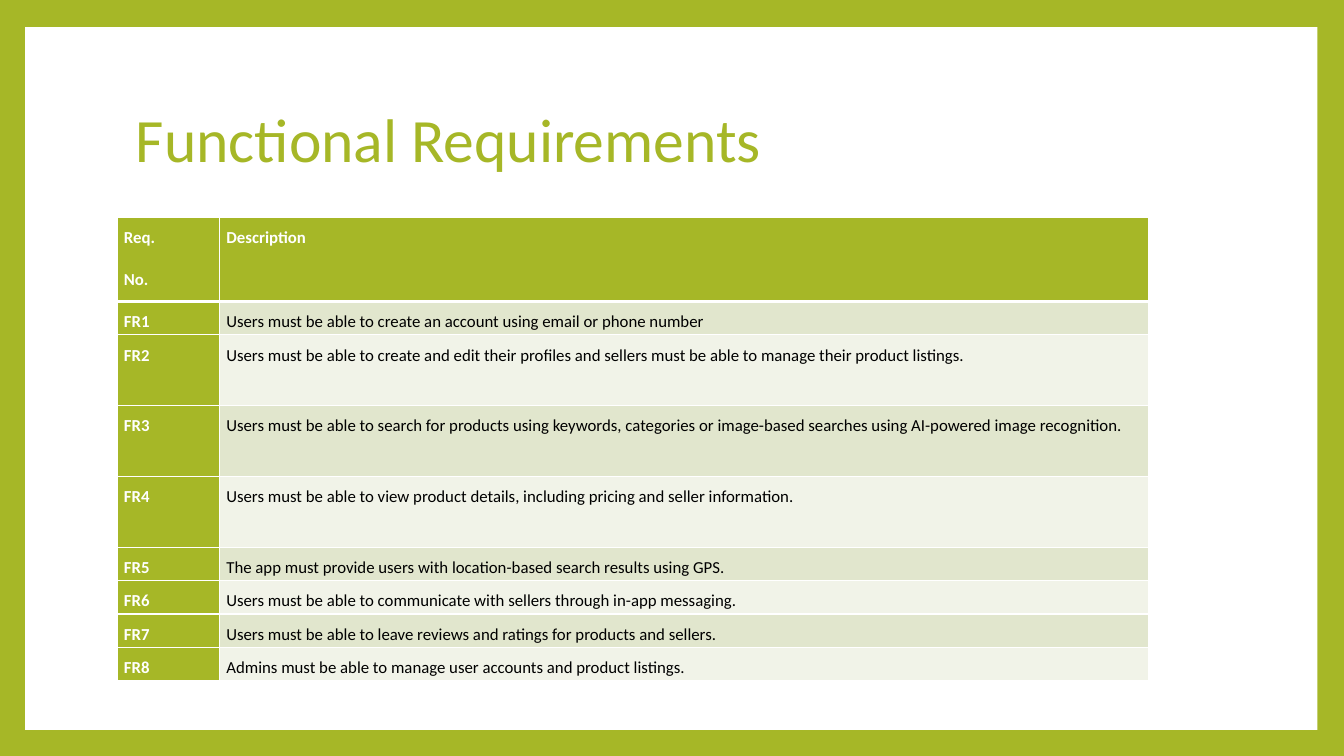
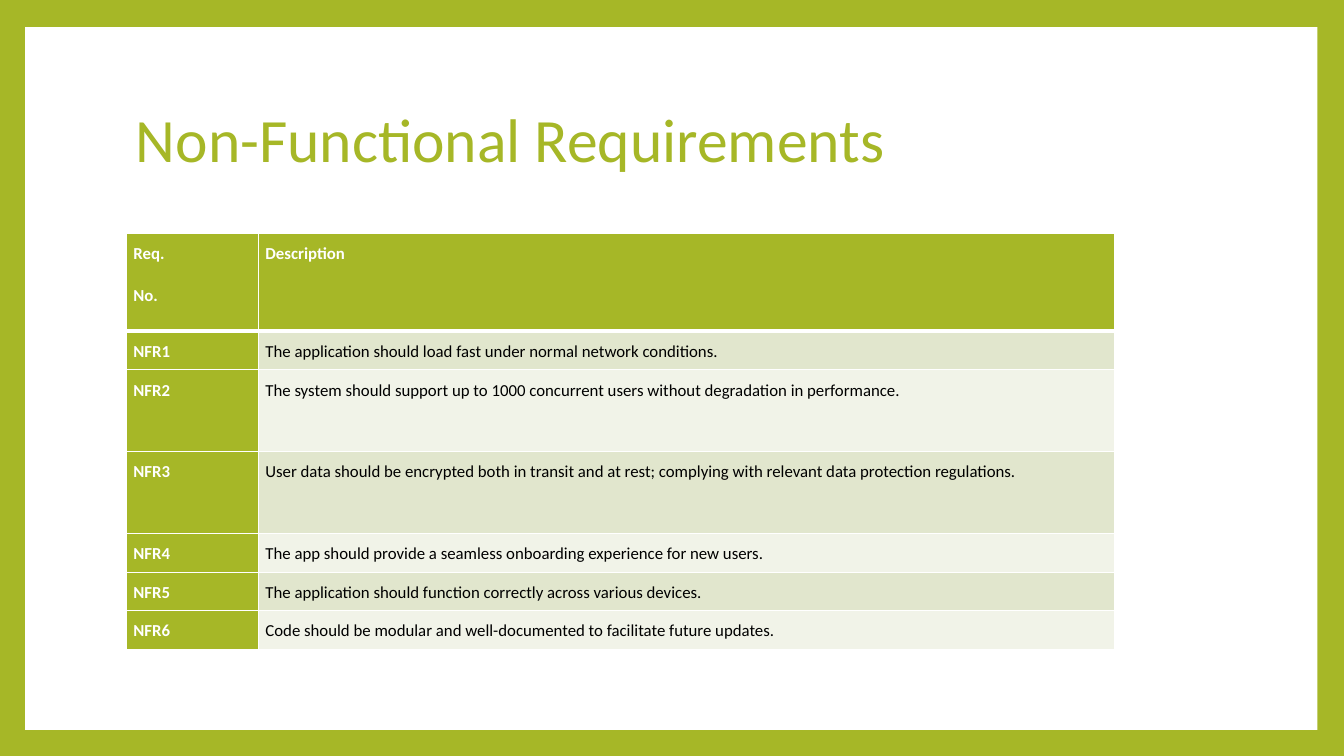
from dataclasses import dataclass

from lxml import etree
from pptx import Presentation
from pptx import util as u
from pptx.dml.color import RGBColor
from pptx.enum import shapes, text
from pptx.oxml.ns import qn


@dataclass(frozen=True)
class Theme:
    green: str = "A6B727"
    white: str = "FFFFFF"
    black: str = "000000"
    bands: tuple = ("E1E6CD", "F1F3E8")
    font: str = "Calibri"
    title_size: int = 44
    cell_size: int = 12
    rule: int = 1
    header_rule: int = 3


T = Theme()
HEADER = ("Req.\nNo.", "Description")

FUNCTIONAL = [
    "Users must be able to create an account using email or phone number",
    "Users must be able to create and edit their profiles and sellers must be able to "
    "manage their product listings.",
    "Users must be able to search for products using keywords, categories or image-based "
    "searches using AI-powered image recognition.",
    "Users must be able to view product details, including pricing and seller information.",
    "The app must provide users with location-based search results using GPS.",
    "Users must be able to communicate with sellers through in-app messaging.",
    "Users must be able to leave reviews and ratings for products and sellers.",
    "Admins must be able to manage user accounts and product listings.",
]

NON_FUNCTIONAL = [
    "The application should load fast under normal network conditions.",
    "The system should support up to 1000 concurrent users without degradation in performance.",
    "User data should be encrypted both in transit and at rest; complying with relevant "
    "data protection regulations.",
    "The app should provide a seamless onboarding experience for new users.",
    "The application should function correctly across various devices.",
    "Code should be modular and well-documented to facilitate future updates.",
]


def set_fill(fill, color):
    fill.solid()
    fill.fore_color.rgb = RGBColor.from_string(color)


def set_font(p, size, color, bold=False):
    p.font.name, p.font.size, p.font.bold = T.font, u.Pt(size), bold
    p.font.color.rgb = RGBColor.from_string(color)


# Slide frame: green background, white panel, title
def add_slide(prs, title):
    s = prs.slides.add_slide(prs.slide_layouts[6])
    set_fill(s.background.fill, T.green)
    panel = s.shapes.add_shape(shapes.MSO_SHAPE.RECTANGLE,
                               u.Pt(18), u.Pt(19.3), u.Pt(923), u.Pt(502))
    panel.shadow.inherit = False
    set_fill(panel.fill, T.white)
    panel.line.fill.background()

    tf = s.shapes.add_textbox(u.Pt(90), u.Pt(48.2), u.Pt(777.6), u.Pt(106.6)).text_frame
    tf.word_wrap = True
    tf.vertical_anchor = text.MSO_ANCHOR.MIDDLE
    p = tf.paragraphs[0]
    p.text, p.line_spacing = title, 0.9
    set_font(p, T.title_size, T.green)
    return s


# Table cells: borders go before the fill in the cell properties
def set_borders(cell, top, bottom):
    tc_pr = cell._tc.get_or_add_tcPr()
    widths = {"a:lnL": T.rule, "a:lnR": T.rule, "a:lnT": top, "a:lnB": bottom}
    for tag, width in widths.items():
        ln = etree.SubElement(tc_pr, qn(tag), w=str(u.Pt(width)))
        solid = etree.SubElement(ln, qn("a:solidFill"))
        etree.SubElement(solid, qn("a:srgbClr"), val=T.white)


def style_cell(cell, content, row, col):
    set_borders(cell, T.header_rule if row == 1 else T.rule,
                T.header_rule if row == 0 else T.rule)
    heading = row == 0 or col == 0
    set_fill(cell.fill, T.green if heading else T.bands[(row - 1) % 2])
    cell.margin_left = cell.margin_right = u.Pt(5)
    cell.margin_top = cell.margin_bottom = u.Pt(0)
    cell.text = content
    for p in cell.text_frame.paragraphs:
        p.alignment = text.PP_ALIGN.JUSTIFY
        p.line_spacing, p.space_after = 1.5, u.Pt(8)
        set_font(p, T.cell_size, T.white if heading else T.black, heading)


def add_requirements(s, prefix, items, left, top, widths, heights, tall_rows):
    """heights holds the header, short and tall row heights."""
    header, short, tall = heights
    rows = [HEADER] + [(f"{prefix}{i}", item) for i, item in enumerate(items, 1)]
    row_heights = [header] + [tall if i in tall_rows else short
                              for i in range(1, len(rows))]
    table = s.shapes.add_table(len(rows), len(widths), u.Pt(left), u.Pt(top),
                               u.Pt(sum(widths)), u.Pt(sum(row_heights))).table
    for column, width in zip(table.columns, widths):
        column.width = u.Pt(width)
    for r, (height, values) in enumerate(zip(row_heights, rows)):
        table.rows[r].height = u.Pt(height)
        for c, value in enumerate(values):
            style_cell(table.cell(r, c), value, r, c)


def main():
    prs = Presentation()
    prs.slide_width, prs.slide_height = u.Pt(960), u.Pt(540)

    s = add_slide(prs, "Functional Requirements")
    add_requirements(s, "FR", FUNCTIONAL, 83.5, 155, (73.2, 663.5),
                     (60.4, 23.8, 50.6), (2, 3, 4))

    s = add_slide(prs, "Non-Functional Requirements")
    add_requirements(s, "NFR", NON_FUNCTIONAL, 90.3, 166.8, (94.3, 611.3),
                     (69.8, 27.6, 58.5), (2, 3))

    prs.save("out.pptx")


if __name__ == "__main__":
    main()
